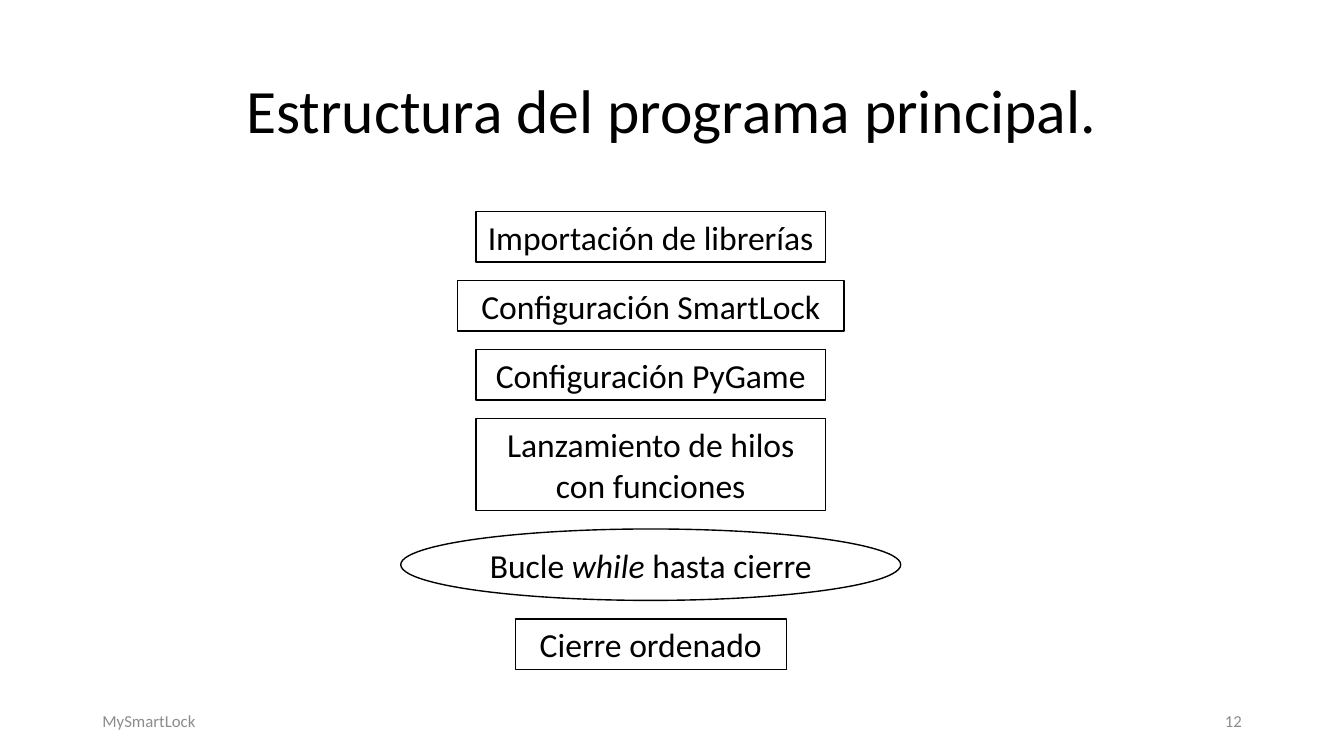
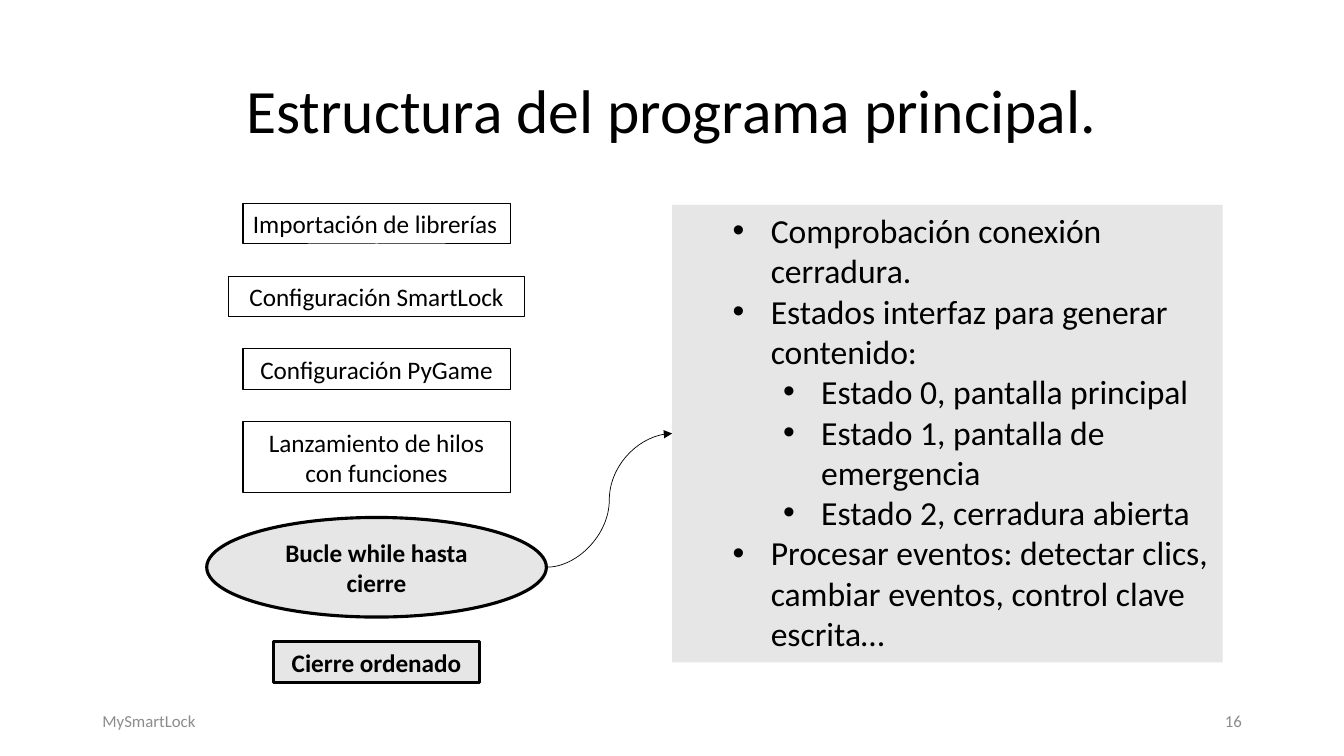
from pptx import Presentation
from pptx.dml.color import RGBColor
from pptx.enum.shapes import MSO_CONNECTOR as Link, MSO_SHAPE as Form
from pptx.enum.text import MSO_ANCHOR as Anchor, MSO_AUTO_SIZE as Fit, PP_ALIGN as Align
from pptx.oxml.ns import qn
from pptx.util import Cm, Pt
from lxml.etree import SubElement

FONT = "Calibri"
BLACK, WHITE, GREY, PALE = "000000", "FFFFFF", "8C8C8C", "E7E6E6"
TITLE = "Estructura del programa principal."
STEPS = (
    "Importación de librerías",
    "Configuración SmartLock",
    "Configuración PyGame",
    "Lanzamiento de hilos con funciones",
    "Bucle {} hasta cierre",
    "Cierre ordenado",
)
LOOP = 4
TASKS = (
    (1, "Comprobación conexión cerradura."),
    (1, "Estados interfaz para generar contenido:"),
    (2, "Estado 0, pantalla principal"),
    (2, "Estado 1, pantalla de emergencia"),
    (2, "Estado 2, cerradura abierta"),
    (1, "Procesar eventos: detectar clics, cambiar eventos, control clave escrita…"),
)


def color(code):
    return RGBColor.from_string(code)


def place(shape, left, top, width, height):
    shape.left, shape.top = Cm(left), Cm(top)
    shape.width, shape.height = Cm(width), Cm(height)


def write(para, text, size=24, ink=BLACK, align=Align.CENTER, bold=False, lead=1.0):
    para.alignment, para.line_spacing = align, lead
    para.space_before = Pt(0)
    for i, part in enumerate(text.split("*")):
        run = para.add_run()
        run.text = part
        font = run.font
        font.name, font.size, font.bold = FONT, Pt(size), bold
        font.italic = i % 2 == 1
        font.color.rgb = color(ink)


def setup(frame, anchor=Anchor.MIDDLE):
    frame.word_wrap = True
    frame.auto_size = Fit.NONE
    frame.vertical_anchor = anchor
    return frame.paragraphs[0]


def note(page, text, left, width, align):
    box = page.shapes.add_textbox(Cm(left), Cm(17.65), Cm(width), Cm(1.02))
    write(setup(box.text_frame), text, size=12, ink=GREY, align=align)


def start(deck, layout, number):
    page = deck.slides.add_slide(deck.slide_layouts[layout])
    head = page.shapes.title
    place(head, 4.85, 1.02, 24.16, 3.68)
    write(setup(head.text_frame), TITLE, size=44, lead=0.9)
    note(page, "MySmartLock", 2.33, 11.43, Align.LEFT)
    note(page, str(number), 23.93, 7.62, Align.RIGHT)
    return page


def step(page, form, area, text, fill=None, line=1, **style):
    box = page.shapes.add_shape(form, *map(Cm, area))
    box.shadow.inherit = False
    if fill:
        box.fill.solid()
        box.fill.fore_color.rgb = color(fill)
    else:
        box.fill.background()
    box.line.color.rgb = color(BLACK)
    box.line.width = Pt(line)
    write(setup(box.text_frame), text, **style)
    return box


def stack(page, mid, top, sizes, gaps, looks, word):
    boxes = []
    for i, (text, (width, height), gap, look) in enumerate(zip(STEPS, sizes, gaps, looks)):
        form = Form.OVAL if i == LOOP else Form.RECTANGLE
        area = (mid - width / 2, top, width, height)
        boxes.append(step(page, form, area, text.format(word), **look))
        top += height + gap
    return boxes


def bullet(para, level, text):
    para.level = level
    write(para, text, align=Align.LEFT)
    props = para._p.get_or_add_pPr()
    props.set("marL", str(Cm(0.96 + 1.27 * level)))
    props.set("indent", str(Cm(-0.96)))
    SubElement(props, qn("a:buFont")).set("typeface", "Arial")
    SubElement(props, qn("a:buChar")).set("char", "•")


def panel(page):
    body = page.placeholders[1]
    place(body, 16.94, 5.16, 13.87, 11.53)
    body.fill.solid()
    body.fill.fore_color.rgb = color(PALE)
    frame = body.text_frame
    para = setup(frame, Anchor.TOP)
    for i, (level, text) in enumerate(TASKS):
        bullet(frame.add_paragraph() if i else para, level, text)
    return body


def curve(page, tail, head):
    x, y = tail.left + tail.width, tail.top + tail.height // 2
    link = page.shapes.add_connector(Link.CURVE, x, y, head.left, head.top + head.height // 2)
    link.end_connect(head, 1)
    link.line.color.rgb = color(BLACK)
    link.line.width = Pt(0.5)
    SubElement(link.line._get_or_add_ln(), qn("a:tailEnd")).set("type", "triangle")
    SubElement(link._element.spPr, qn("a:effectLst"))


def outline(deck):
    page = start(deck, 5, 12)
    sizes = ((8.81, 1.27), (9.75, 1.27), (8.81, 1.27), (8.81, 2.31), (12.6, 1.8), (6.83, 1.27))
    stack(page, 16.4, 5.33, sizes, [0.47] * 6, [{}] * 6, "*while*")


def detail(deck):
    page = start(deck, 1, 16)
    sizes = ((6.73, 1.02), (7.44, 1.02), (6.73, 1.02), (6.73, 1.8), (8.56, 2.51), (5.21, 1.04))
    thin = dict(line=0.75, size=18)
    solid = dict(thin, fill=WHITE)
    strong = dict(fill=PALE, line=2.25, size=18, bold=True)
    looks = (dict(thin, align=Align.LEFT), thin, solid, solid, strong, strong)
    boxes = stack(page, 9.49, 5.13, sizes, [0.81] * 3 + [0.62] * 3, looks, "while")
    curve(page, boxes[LOOP], panel(page))


def main():
    deck = Presentation()
    deck.slide_width, deck.slide_height = Cm(33.87), Cm(19.05)
    outline(deck)
    detail(deck)
    deck.save("out.pptx")


if __name__ == "__main__":
    main()
